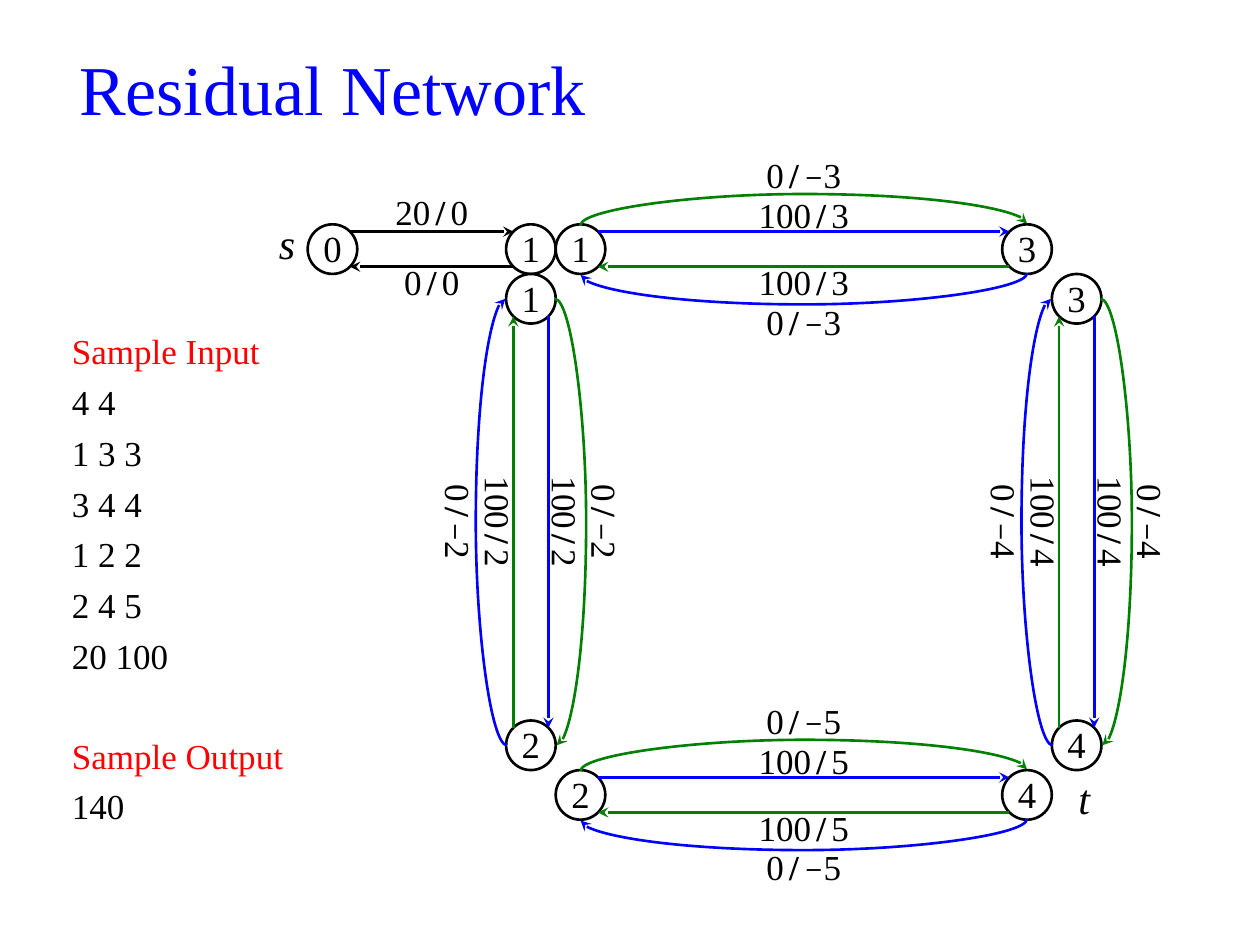
from math import cos, sin, radians, hypot

from lxml.etree import SubElement
from pptx import Presentation
from pptx.dml.color import RGBColor
from pptx.enum.shapes import MSO_CONNECTOR as Link, MSO_SHAPE as Form
from pptx.enum.text import MSO_ANCHOR as Anchor, PP_ALIGN as Align
from pptx.oxml.ns import qn
from pptx.util import Pt

BLACK, WHITE, BLUE, GREEN, RED = "000000", "FFFFFF", "0000FF", "008000", "FF0000"
SERIF = "Times New Roman"

# Content: text, colour, space before
TITLE = "Residual Network"
SAMPLE = [
    ("Sample Input", RED, 0), ("4 4", BLACK, 5), ("1 3 3", BLACK, 5),
    ("3 4 4", BLACK, 5), ("1 2 2", BLACK, 5), ("2 4 5", BLACK, 5),
    ("20 100", BLACK, 5), ("Sample Output", RED, 33), ("140", BLACK, 5),
]

# Nodes: column, row -> number
NODES = {
    (0, 0): "0", (4, 0): "1", (5, 0): "1", (14, 0): "3",
    (4, 1): "1", (15, 1): "3", (4, 10): "2", (15, 10): "4",
    (5, 11): "2", (14, 11): "4",
}

# Double edges: first node, second node, cost, quarter turns
EDGES = [
    ((5, 0), (14, 0), "3", 0), ((15, 1), (15, 10), "4", 1),
    ((4, 1), (4, 10), "2", 1), ((5, 11), (14, 11), "5", 0),
]

# Lines of an edge before turning: forward, from site, to site, colour, curve angle
LINES = [
    (True, 7, 1, BLUE, None), (True, 0, 0, GREEN, 270),
    (False, 3, 5, GREEN, None), (False, 4, 4, BLUE, 90),
]

# Labels of an edge: capacity, sign, offset in cells, top inset, bottom inset
TAGS = [
    ("0", "−", -1.5, 0, 0), ("100", "", -0.5, 0, 11.5),
    ("100", "", 0.5, 8.5, 0), ("0", "−", 1.5, 0, 2.8),
]

CELL, LEFT, TOP = 28.35, 190, 142.4
BULGE = 18

deck = Presentation()
deck.slide_width, deck.slide_height = Pt(720), Pt(540)
slide = deck.slides.add_slide(deck.slide_layouts[6])
shapes = slide.shapes


def color(code):
    return RGBColor.from_string(code)


def style(run, size, code=BLACK, face=SERIF):
    font = run.font
    font.size, font.name, font.color.rgb = Pt(size), face, color(code)


def inset(frame, left=0, top=0, right=0, bottom=0):
    frame.margin_left, frame.margin_top = Pt(left), Pt(top)
    frame.margin_right, frame.margin_bottom = Pt(right), Pt(bottom)


def center(col, row):
    return LEFT + col * CELL, TOP + row * CELL


def site(spot, num):
    """Point on a node; sites run counterclockwise from the top."""
    x, y = center(*spot)
    turn = radians(45 * num)
    return x - sin(turn) * CELL / 2, y - cos(turn) * CELL / 2


def text_box(x, y, wide, high, wrap=False):
    box = shapes.add_textbox(Pt(x), Pt(y), Pt(wide), Pt(high))
    frame = box.text_frame
    frame.word_wrap = wrap
    frame.vertical_anchor = Anchor.MIDDLE
    return box, frame


def node(spot, text):
    x, y = center(*spot)
    disc = shapes.add_shape(Form.OVAL, Pt(x - CELL / 2), Pt(y - CELL / 2),
                            Pt(CELL), Pt(CELL))
    disc.shadow.inherit = False
    disc.fill.solid()
    disc.fill.fore_color.rgb = color(WHITE)
    disc.line.color.rgb, disc.line.width = color(BLACK), Pt(1.5)
    frame = disc.text_frame
    inset(frame, bottom=1.4)
    frame.vertical_anchor = Anchor.MIDDLE
    frame.text = text
    para = frame.paragraphs[0]
    para.alignment = Align.CENTER
    style(para.runs[0], 21)
    return disc


def arrow(start, out, end, into, code, angle=None):
    (x1, y1), (x2, y2) = site(start, out), site(end, into)
    kind = Link.STRAIGHT
    if angle is not None:
        # A curve is laid out as a narrow upright box, then turned
        kind, size = Link.CURVE, hypot(x2 - x1, y2 - y1)
        x, y = (x1 + x2) / 2, (y1 + y2) / 2
        x1, y1, x2, y2 = x - 0.5, y - size / 2, x + 0.5, y + size / 2
    line = shapes.add_connector(kind, Pt(x1), Pt(y1), Pt(x2), Pt(y2))
    line.line.color.rgb, line.line.width = color(code), Pt(1.5)
    SubElement(line.line._get_or_add_ln(), qn("a:tailEnd"), type="stealth")
    props = line._element.spPr
    SubElement(props, qn("a:effectLst"))
    if angle is not None:
        props.find(qn("a:xfrm")).set("rot", str(angle * 60000))
        guide = props.find(qn("a:prstGeom")).find(qn("a:avLst"))
        SubElement(guide, qn("a:gd"), name="adj1", fmla=f"val {BULGE * 100000}")
    # Attach both ends to their nodes
    ends = line._element.find(qn("p:nvCxnSpPr")).find(qn("p:cNvCxnSpPr"))
    for tag, spot, num in (("a:stCxn", start, out), ("a:endCxn", end, into)):
        SubElement(ends, qn(tag), id=str(discs[spot].shape_id), idx=str(num))


def label(x, y, cap, sign, cost, top, low, turn=0):
    box, frame = text_box(x - CELL, y - CELL / 2, 2 * CELL, CELL)
    box.rotation = 90 * turn
    inset(frame, top=top, bottom=low)
    para = frame.paragraphs[0]
    para.alignment = Align.CENTER
    # Text, font, bold, letter gap
    parts = [(cap[:-1], SERIF, False, 0), (cap[-1], SERIF, False, 3),
             ("/", SERIF, True, 3), (sign, "Cambria", False, 0),
             (cost, SERIF, False, 0)]
    for text, face, bold, gap in parts:
        if text:
            run = para.add_run()
            run.text = text
            style(run, 20, face=face)
            run.font.bold = bold
            run.font._element.set("spc", str(gap * 100))


def mark(spot, text, align, **gaps):
    x, y = center(*spot)
    _, frame = text_box(x - CELL / 2, y - CELL / 2, CELL, CELL)
    inset(frame, **gaps)
    frame.text = text
    para = frame.paragraphs[0]
    para.alignment = align
    style(para.runs[0], 24)
    para.runs[0].font.italic = True


# Title
_, frame = text_box(34, 15, 312, 70.5, True)
frame.text = TITLE
frame.paragraphs[0].alignment = Align.CENTER
style(frame.paragraphs[0].runs[0], 40, BLUE)

# Sample input and output
_, frame = text_box(34, 185, 142, 312, True)
frame.vertical_anchor = Anchor.TOP
frame.text = "\n".join(text for text, _, _ in SAMPLE)
for para, (_, code, gap) in zip(frame.paragraphs, SAMPLE):
    para.space_before = Pt(gap)
    style(para.runs[0], 20, code)

# Nodes
discs = {spot: node(spot, text) for spot, text in NODES.items()}

# Double edges with their labels
for one, two, cost, turn in EDGES:
    for ahead, out, into, code, angle in LINES:
        start, end = (one, two) if ahead else (two, one)
        if angle is not None:
            angle = (angle + 90 * turn) % 360
        arrow(start, (out - 2 * turn) % 8, end, (into - 2 * turn) % 8, code, angle)
    col, row = (one[0] + two[0]) / 2, (one[1] + two[1]) / 2
    for cap, sign, off, top, low in TAGS:
        x, y = center(col - off, row) if turn else center(col, row + off)
        label(x, y, cap, sign, cost, top, low, turn)

# Source edge
arrow((0, 0), 7, (4, 0), 1, BLACK)
arrow((4, 0), 3, (0, 0), 5, BLACK)
label(*center(2, -0.5), "20", "", "0", 0, 14.2)
label(*center(2, 0.5), "0", "", "0", 8.5, 0)

# Source and sink marks
mark((-1, 0), "s", Align.RIGHT, left=7.2, right=7.2, bottom=7.2)
mark((15, 11), "t", Align.CENTER, left=8.5, top=2.8)

deck.save("out.pptx")
